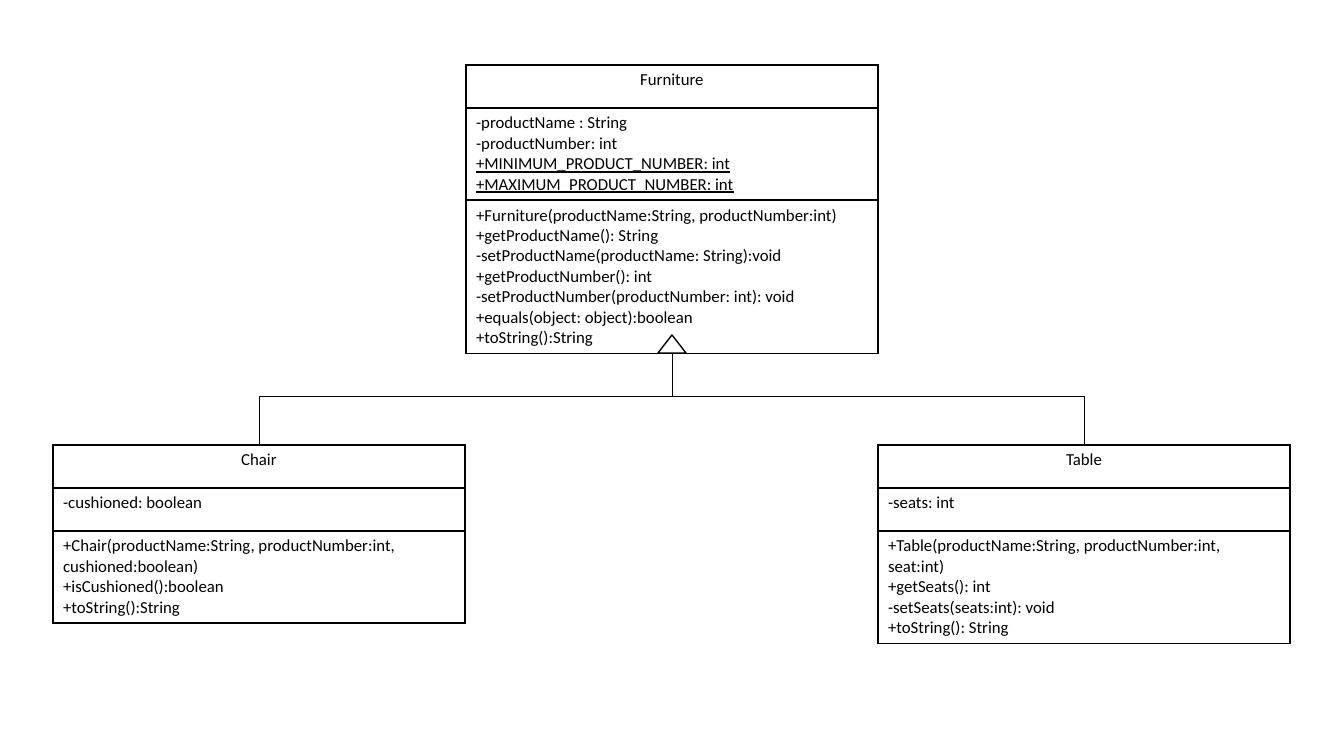
import math
from lxml import etree
from pptx import Presentation
from pptx import util as u
from pptx.dml.color import RGBColor
from pptx.enum import shapes, text
from pptx.oxml import ns

COLORS = {"ink": "000000", "paper": "FFFFFF"}
FONT = "Calibri"
PX = 914400 / 100.8
SLIDE_SIZE = (1344, 756)
CLASS_WIDTH = 412
ROW_HEIGHT, LINE_HEIGHT, ROW_PADDING = 43, 20, 10
CHARACTERS_PER_LINE = 50
ARROW_WIDTH, ARROW_HEIGHT = 28, 18

PARENT = {
    "at": (466, 65),
    "name": "Furniture",
    "fields": [
        "-productName : String",
        "-productNumber: int",
        "+MINIMUM_PRODUCT_NUMBER: int",
        "+MAXIMUM_PRODUCT_NUMBER: int",
    ],
    "methods": [
        "+Furniture(productName:String, productNumber:int)",
        "+getProductName(): String",
        "-setProductName(productName: String):void",
        "+getProductNumber(): int",
        "-setProductNumber(productNumber: int): void",
        "+equals(object: object):boolean",
        "+toString():String",
    ],
}
CHILDREN = [
    {
        "at": (53, 445),
        "name": "Chair",
        "fields": ["-cushioned: boolean"],
        "methods": [
            "+Chair(productName:String, productNumber:int, cushioned:boolean)",
            "+isCushioned():boolean",
            "+toString():String",
        ],
    },
    {
        "at": (878, 445),
        "name": "Table",
        "fields": ["-seats: int"],
        "methods": [
            "+Table(productName:String, productNumber:int, seat:int)",
            "+getSeats(): int",
            "-setSeats(seats:int): void",
            "+toString(): String",
        ],
    },
]
STATIC_FIELDS = {"+MINIMUM_PRODUCT_NUMBER: int", "+MAXIMUM_PRODUCT_NUMBER: int"}


def px(length):
    return u.Emu(round(length * PX))


def color(name):
    return RGBColor.from_string(COLORS[name])


def row_height(lines):
    count = sum(math.ceil(len(line) / CHARACTERS_PER_LINE) for line in lines)
    return max(ROW_HEIGHT, count * LINE_HEIGHT + ROW_PADDING)


def add_borders(cell):
    properties = cell._tc.get_or_add_tcPr()
    for side in ("lnL", "lnR", "lnT", "lnB"):
        border = etree.SubElement(properties, ns.qn(f"a:{side}"), w=str(u.Pt(1)))
        fill = etree.SubElement(border, ns.qn("a:solidFill"))
        etree.SubElement(fill, ns.qn("a:srgbClr"), val=COLORS["ink"])


def fill_cell(cell, lines, alignment):
    add_borders(cell)
    cell.fill.background()
    cell.text_frame.text = "\n".join(lines)
    for paragraph in cell.text_frame.paragraphs:
        paragraph.alignment = alignment
        paragraph.font.name = FONT
        paragraph.font.size = u.Pt(12)
        paragraph.font.color.rgb = color("ink")
        if paragraph.text in STATIC_FIELDS:
            paragraph.font.underline = True


def add_class(slide, uml_class):
    left, top = uml_class["at"]
    sections = [[uml_class["name"]], uml_class["fields"], uml_class["methods"]]
    heights = [row_height(lines) for lines in sections]
    frame = slide.shapes.add_table(
        3, 1, px(left), px(top), px(CLASS_WIDTH), px(sum(heights)))
    table = frame.table
    table.first_row = table.horz_banding = False
    for index, (lines, height) in enumerate(zip(sections, heights)):
        table.rows[index].height = px(height)
        alignment = text.PP_ALIGN.LEFT if index else text.PP_ALIGN.CENTER
        fill_cell(table.cell(index, 0), lines, alignment)
    return left + CLASS_WIDTH / 2, top + sum(heights)


def add_inheritance(slide, start, end):
    center_x, center_y = (start[0] + end[0]) / 2, (start[1] + end[1]) / 2
    half_length, half_span = (end[1] - start[1]) / 2, abs(end[0] - start[0]) / 2
    direction = 1 if end[0] < start[0] else -1
    connector = slide.shapes.add_connector(
        shapes.MSO_CONNECTOR.ELBOW,
        px(center_x - direction * half_length), px(center_y - half_span),
        px(center_x + direction * half_length), px(center_y + half_span))
    properties = connector._element.spPr
    properties.find(ns.qn("a:xfrm")).set("rot", str(direction * 90 % 360 * 60000))
    connector.line.color.rgb = color("ink")
    connector.line.width = u.Pt(0.5)
    etree.SubElement(properties, ns.qn("a:effectLst"))


def add_arrowhead(slide, x, base):
    triangle = slide.shapes.add_shape(
        shapes.MSO_SHAPE.ISOSCELES_TRIANGLE,
        px(x - ARROW_WIDTH / 2), px(base - ARROW_HEIGHT),
        px(ARROW_WIDTH), px(ARROW_HEIGHT))
    triangle.shadow.inherit = False
    triangle.fill.solid()
    triangle.fill.fore_color.rgb = color("paper")
    triangle.line.color.rgb = color("ink")
    triangle.line.width = u.Pt(1)


def main():
    presentation = Presentation()
    presentation.slide_width, presentation.slide_height = map(px, SLIDE_SIZE)
    slide = presentation.slides.add_slide(presentation.slide_layouts[6])
    parent_x, parent_bottom = add_class(slide, PARENT)
    for child in CHILDREN:
        child_x, _ = add_class(slide, child)
        add_inheritance(slide, (parent_x, parent_bottom), (child_x, child["at"][1]))
    add_arrowhead(slide, parent_x, parent_bottom + 5)
    presentation.save("out.pptx")


if __name__ == "__main__":
    main()
